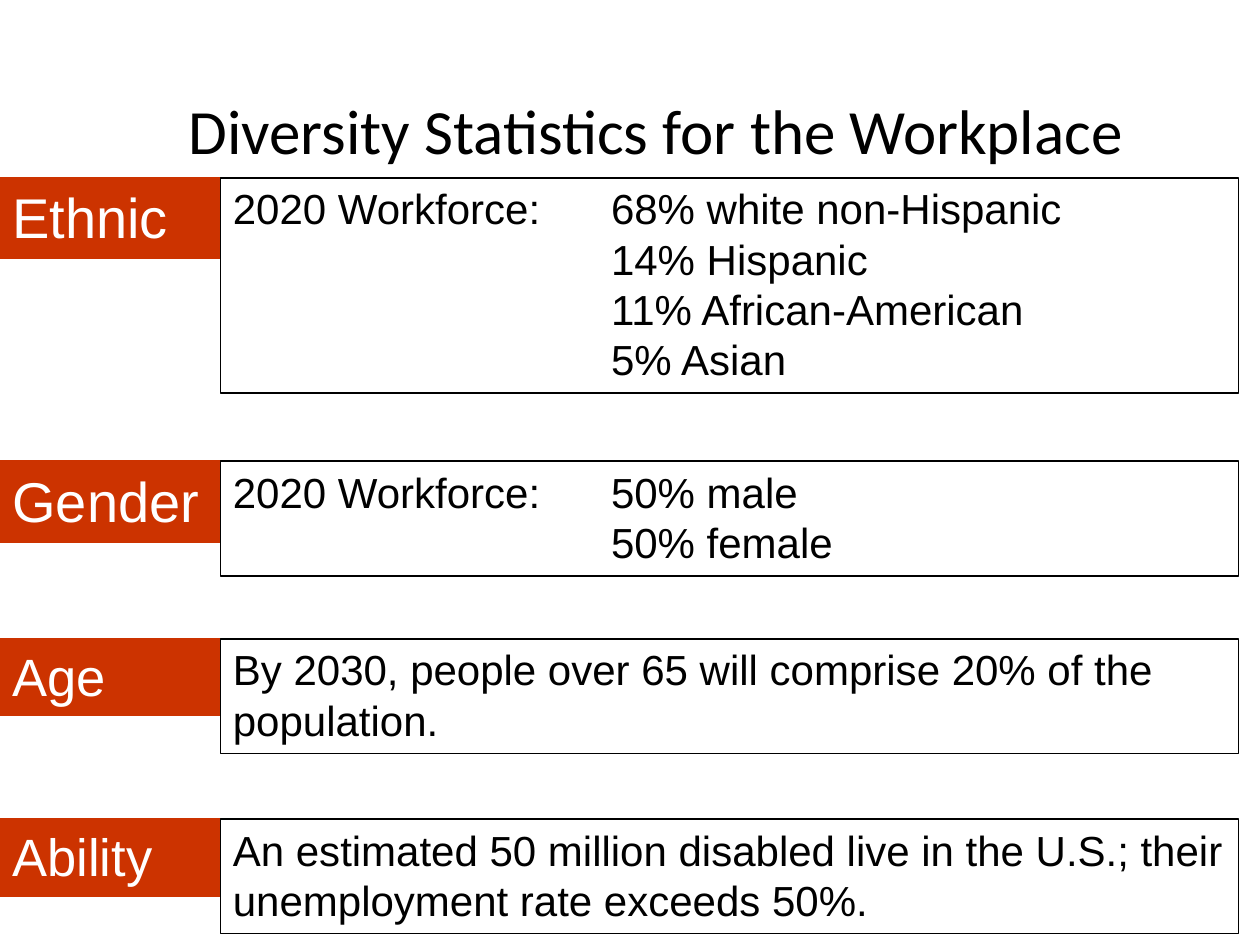
import pptx
import pptx.dml.color
import pptx.enum.shapes
import pptx.enum.text
import pptx.util
from pptx.util import Inches

RED, BLACK, WHITE = "CC3300", "000000", "FFFFFF"
LABEL_W, BOX_W = 1.75, 8.08
FIGURES_X = 4.85
PAD_X, PAD_TOP = 0.1, 0.04

# label, label size, top, label height, box height, statement lines, figures
SECTIONS = [
    ("Ethnic", 32, 1.41, 0.64, 1.71, ["2020 Workforce:"],
     ["68% white non-Hispanic", "14% Hispanic", "11% African-American", "5% Asian"]),
    ("Gender", 32, 3.66, 0.64, 0.91, ["2020 Workforce:"], ["50% male", "50% female"]),
    ("Age", 30, 5.07, 0.61, 0.91,
     ["By 2030, people over 65 will comprise 20% of the", "population."], []),
    ("Ability", 30, 6.5, 0.61, 0.91,
     ["An estimated 50 million disabled live in the U.S.; their",
      "unemployment rate exceeds 50%."], []),
]


def rgb(value):
    return pptx.dml.color.RGBColor.from_string(value)


def write(sp, lines, size, color=BLACK, font="Arial", align="LEFT", anchor="TOP",
          left=0, top=0):
    """Fill a shape with one paragraph per line; left and top are insets in inches."""
    tf = sp.text_frame
    frame = {"word_wrap": True, "margin_left": Inches(left), "margin_top": Inches(top),
             "margin_right": 0, "margin_bottom": 0,
             "vertical_anchor": getattr(pptx.enum.text.MSO_ANCHOR, anchor)}
    for name, value in frame.items():
        setattr(tf, name, value)
    for i, line in enumerate(lines):
        p = tf.paragraphs[0] if i == 0 else tf.add_paragraph()
        p.alignment = getattr(pptx.enum.text.PP_ALIGN, align)
        r = p.add_run()
        r.text = line
        for name, value in {"name": font, "size": pptx.util.Pt(size)}.items():
            setattr(r.font, name, value)
        r.font.color.rgb = rgb(color)


def add_text(s, x, y, w, h, lines, size, **style):
    write(s.shapes.add_textbox(Inches(x), Inches(y), Inches(w), Inches(h)),
          lines, size, **style)


def add_box(s, x, y, w, h, lines, size, line, fill=None, color=BLACK):
    sp = s.shapes.add_shape(pptx.enum.shapes.MSO_SHAPE.RECTANGLE,
                            Inches(x), Inches(y), Inches(w), Inches(h))
    sp.shadow.inherit = False
    if fill:
        sp.fill.solid()
        sp.fill.fore_color.rgb = rgb(fill)
    else:
        sp.fill.background()
    sp.line.color.rgb = rgb(line)
    sp.line.width = pptx.util.Pt(1)
    write(sp, lines, size, color, left=PAD_X, top=PAD_TOP)


def add_section(s, label, size, top, label_h, box_h, statement, figures):
    add_box(s, 0, top, LABEL_W, label_h, [label], size, RED, RED, WHITE)
    add_box(s, LABEL_W, top, BOX_W, box_h, statement, 24, BLACK)
    if figures:
        add_text(s, FIGURES_X, top + PAD_TOP, 4, 0.4 * len(figures), figures, 24)


def main():
    prs = pptx.Presentation()
    prs.slide_width, prs.slide_height = Inches(10), Inches(7.5)
    s = prs.slides.add_slide(prs.slide_layouts[6])
    add_text(s, 0.5, 0.3, 9, 1.25, ["Diversity Statistics for the Workplace"], 36,
             font="Calibri", align="CENTER", anchor="MIDDLE", left=0.41, top=0.2)
    for section in SECTIONS:
        add_section(s, *section)
    prs.save("out.pptx")


if __name__ == "__main__":
    main()
